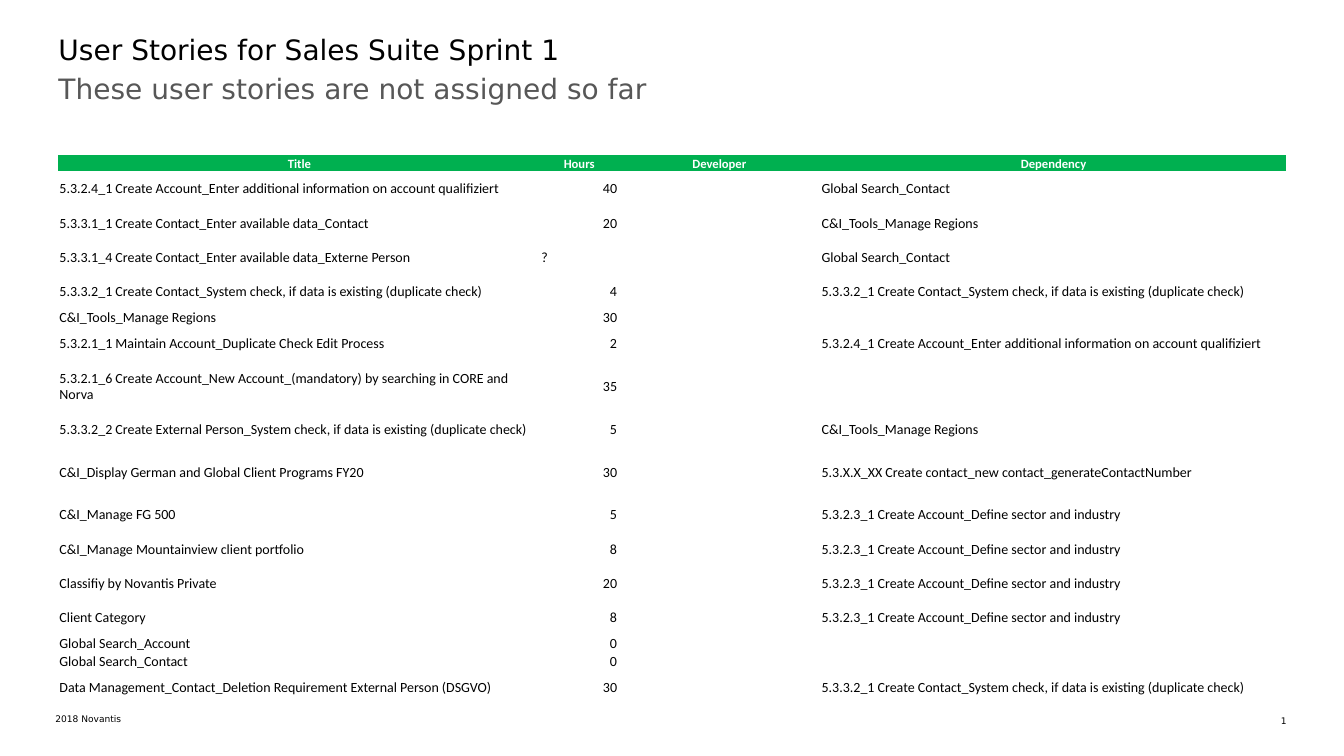
from typing import NamedTuple

from lxml import etree
from pptx import Presentation
from pptx.dml.color import RGBColor
from pptx.enum.text import MSO_ANCHOR, PP_ALIGN
from pptx.oxml.ns import qn
from pptx.util import Inches, Pt

LEFT, CENTER, RIGHT = PP_ALIGN.LEFT, PP_ALIGN.CENTER, PP_ALIGN.RIGHT
MIDDLE = MSO_ANCHOR.MIDDLE
BLACK, GREY, WHITE, GREEN = "000000", "575757", "FFFFFF", "00B050"
HEADING_FONT, TABLE_FONT = "DejaVu Sans", "Calibri"
NO_TABLE_STYLE = "{2D5ABB26-0587-4C30-8999-92F81FD0307C}"
BODY_SIZE = 10


class Label(NamedTuple):
    text: str
    left: float
    top: float
    width: float
    height: float
    size: float
    color: str = BLACK
    alignment: PP_ALIGN = LEFT


class Story(NamedTuple):
    title: str
    hours: str
    dependency: str = ""
    height: float = 0.34


LABELS = [
    Label("1", 12.25, 7.1, 0.51, 0.36, 6.5, alignment=RIGHT),
    Label("2018 Novantis", 0.55, 7.08, 5.86, 0.11, 6.5),
    Label("User Stories for Sales Suite Sprint 1", 0.58, 0.32, 12.18, 0.39, 20),
    Label("These user stories are not assigned so far", 0.58, 0.71, 12.18, 0.83, 20, GREY),
]

HEADERS = ["Title", "Hours", "Developer", "Dependency"]
COLUMN_WIDTHS = [4.78, 0.77, 2.01, 4.62]
HEADER_HEIGHT = 0.1

ENTER_INFORMATION = "5.3.2.4_1 Create Account_Enter additional information on account qualifiziert"
DUPLICATE_CHECK = "5.3.3.2_1 Create Contact_System check, if data is existing (duplicate check)"
DEFINE_SECTOR = "5.3.2.3_1 Create Account_Define sector and industry"
MANAGE_REGIONS = "C&I_Tools_Manage Regions"
SEARCH_CONTACT = "Global Search_Contact"

STORIES = [
    Story(ENTER_INFORMATION, "40", SEARCH_CONTACT),
    Story("5.3.3.1_1 Create Contact_Enter available data_Contact", "20", MANAGE_REGIONS),
    Story("5.3.3.1_4 Create Contact_Enter available data_Externe Person", "?", SEARCH_CONTACT),
    Story(DUPLICATE_CHECK, "4", DUPLICATE_CHECK),
    Story(MANAGE_REGIONS, "30", height=0.17),
    Story("5.3.2.1_1 Maintain Account_Duplicate Check Edit Process", "2", ENTER_INFORMATION),
    Story("5.3.2.1_6 Create Account_New Account_(mandatory) by searching in CORE and Norva",
          "35", height=0.51),
    Story("5.3.3.2_2 Create External Person_System check, if data is existing (duplicate check)",
          "5", MANAGE_REGIONS),
    Story("C&I_Display German and Global Client Programs FY20", "30",
          "5.3.X.X_XX Create contact_new contact_generateContactNumber", 0.51),
    Story("C&I_Manage FG 500", "5", DEFINE_SECTOR),
    Story("C&I_Manage Mountainview client portfolio", "8", DEFINE_SECTOR),
    Story("Classifiy by Novantis Private", "20", DEFINE_SECTOR),
    Story("Client Category", "8", DEFINE_SECTOR),
    Story("Global Search_Account", "0", height=0.17),
    Story(SEARCH_CONTACT, "0", height=0.17),
    Story("Data Management_Contact_Deletion Requirement External Person (DSGVO)", "30",
          DUPLICATE_CHECK),
]


def rgb(color: str) -> RGBColor:
    return RGBColor.from_string(color)


def add_run(paragraph, text: str, font: str, size: float, color: str, bold: bool = False) -> None:
    run = paragraph.add_run()
    run.text = text
    run.font.name = font
    run.font.size = Pt(size)
    run.font.bold = bold
    run.font.color.rgb = rgb(color)


def add_label(slide, label: Label) -> None:
    box = slide.shapes.add_textbox(Inches(label.left), Inches(label.top),
                                   Inches(label.width), Inches(label.height))
    frame = box.text_frame
    frame.word_wrap = True
    frame.margin_left = frame.margin_right = frame.margin_top = frame.margin_bottom = 0
    paragraph = frame.paragraphs[0]
    paragraph.alignment = label.alignment
    add_run(paragraph, label.text, HEADING_FONT, label.size, label.color)


def fill_cell(cell, text: str, alignment: PP_ALIGN, header: bool = False) -> None:
    cell.margin_left = cell.margin_right = cell.margin_top = Inches(0.01)
    cell.margin_bottom = 0
    cell.vertical_anchor = MIDDLE
    paragraph = cell.text_frame.paragraphs[0]
    paragraph.alignment = alignment
    if header:
        cell.fill.solid()
        cell.fill.fore_color.rgb = rgb(GREEN)
        add_run(paragraph, text, TABLE_FONT, 9, WHITE, bold=True)
        return
    cell.fill.background()
    if text:
        add_run(paragraph, text, TABLE_FONT, BODY_SIZE, BLACK)
    else:
        # An empty cell needs a small font so that it does not stretch its row
        etree.SubElement(paragraph._p, qn("a:endParaRPr"), sz=str(BODY_SIZE * 100))


def add_story_table(slide, stories: list[Story]) -> None:
    heights = [HEADER_HEIGHT] + [story.height for story in stories]
    frame = slide.shapes.add_table(len(heights), len(HEADERS), Inches(0.58), Inches(1.54),
                                   Inches(sum(COLUMN_WIDTHS)), Inches(sum(heights)))
    table = frame.table
    table.first_row = table.horz_banding = False
    table._tbl.tblPr.find(qn("a:tableStyleId")).text = NO_TABLE_STYLE
    for column, width in zip(table.columns, COLUMN_WIDTHS):
        column.width = Inches(width)
    for row, height in zip(table.rows, heights):
        row.height = Inches(height)

    for cell, header in zip(table.rows[0].cells, HEADERS):
        fill_cell(cell, header, CENTER, header=True)
    for row_index, story in enumerate(stories, start=1):
        values = [story.title, story.hours, "", story.dependency]
        for cell, value in zip(table.rows[row_index].cells, values):
            fill_cell(cell, value, RIGHT if value.isdigit() else LEFT)


presentation = Presentation()
presentation.slide_width = Inches(13.33)
presentation.slide_height = Inches(7.5)
slide = presentation.slides.add_slide(presentation.slide_layouts[6])

# Page number, footer, title and subtitle
for label in LABELS:
    add_label(slide, label)

# User stories
add_story_table(slide, STORIES)

presentation.save("out.pptx")
